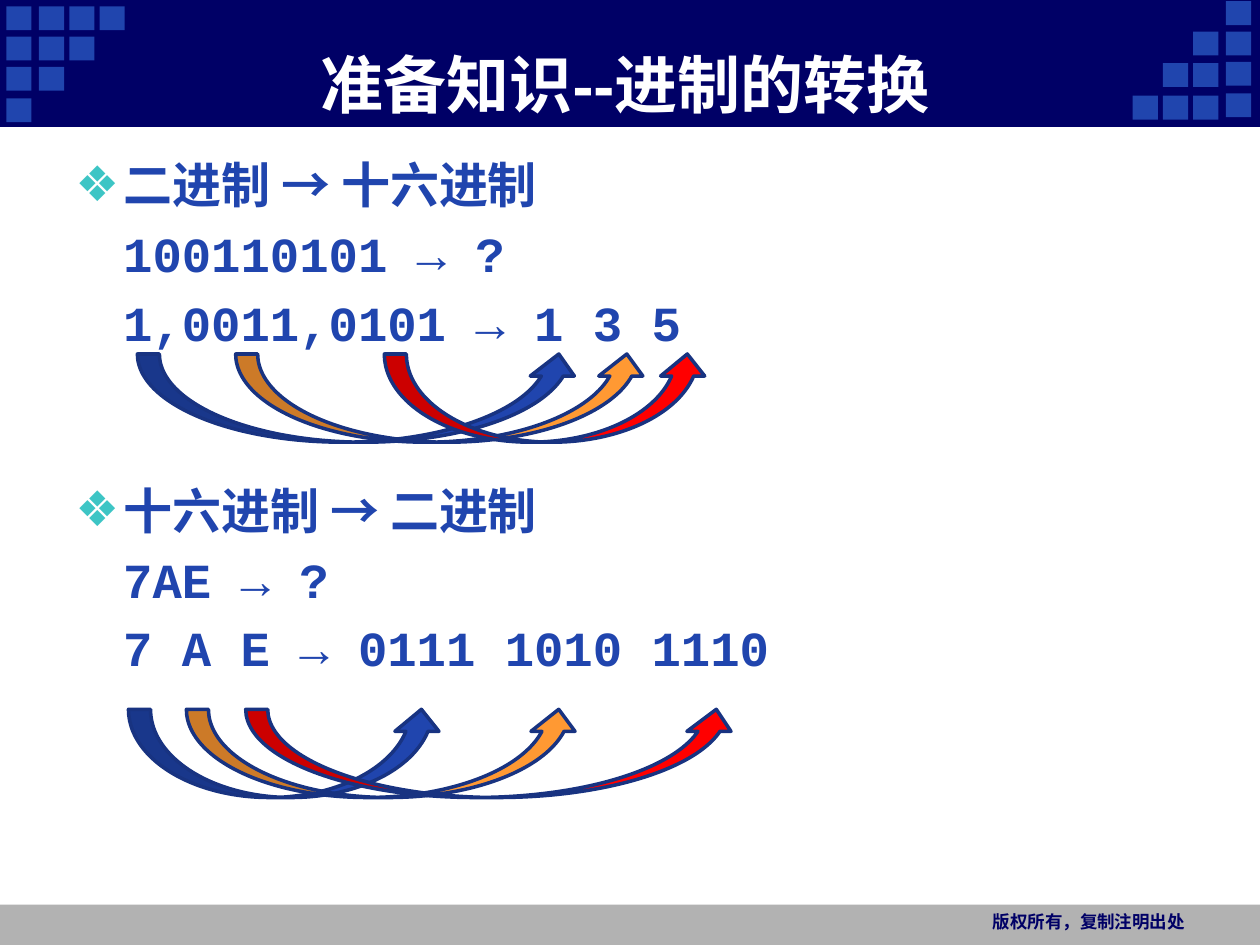
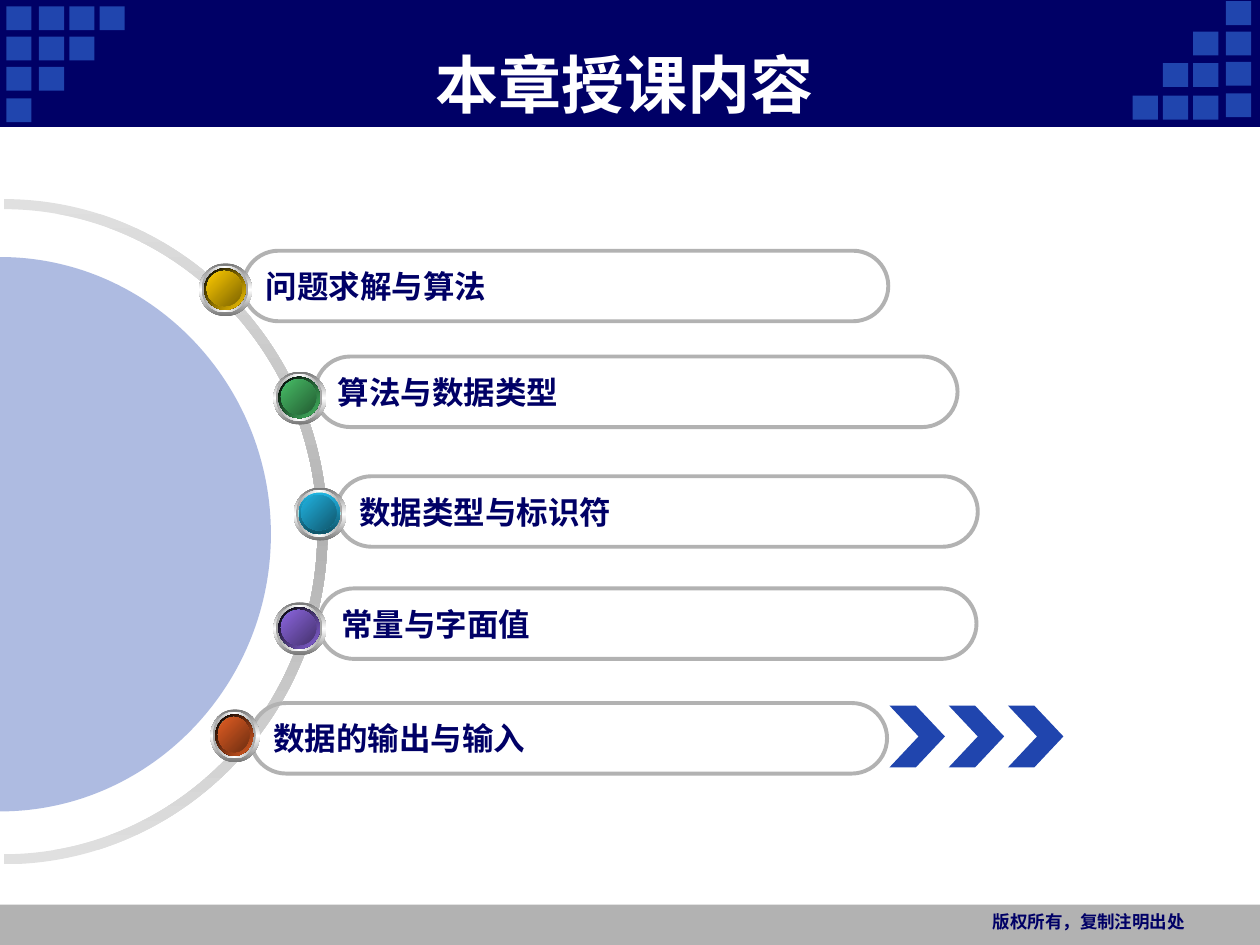
from dataclasses import dataclass

from pptx import Presentation
from pptx.dml.color import RGBColor
from pptx.enum.shapes import MSO_SHAPE as Preset
from pptx.enum.text import MSO_ANCHOR as Anchor, PP_ALIGN as Align
from pptx.oxml import parse_xml
from pptx.oxml.ns import nsdecls
from pptx.shapes.autoshape import Shape
from pptx.slide import Slide
from pptx.text.text import TextFrame
from pptx.util import Inches, Pt

NAVY = RGBColor(0x00, 0x00, 0x66)
BLUE = RGBColor(0x20, 0x45, 0xAE)
ARROW_EDGE = RGBColor(0x18, 0x33, 0x81)
ORANGE = RGBColor(0xFF, 0x99, 0x33)
RED = RGBColor(0xFF, 0x00, 0x00)
TEAL = RGBColor(0x3D, 0xC5, 0xC5)
DARK_TEAL = RGBColor(0x2F, 0x97, 0x97)
WHITE = RGBColor(0xFF, 0xFF, 0xFF)
BLACK = RGBColor(0x00, 0x00, 0x00)
GREY = RGBColor(0xB2, 0xB2, 0xB2)
PALE_GREY = RGBColor(0xE0, 0xE0, 0xE0)
MID_GREY = RGBColor(0xA2, 0xA2, 0xA2)
DARK_GREY = RGBColor(0x76, 0x76, 0x76)

HEADING_FONT = "Arial"
CODE_FONT = "Courier New"

SQUARE_LEFTS = (0.05, 0.31, 0.55, 0.79)
SQUARE_TOPS = (0.05, 0.29, 0.53, 0.78)
RIGHT_TOPS = (0.76, 0.5, 0.25, 0.01)
RIGHT_EDGE_TOPS = (0.74, 0.49, 0.25, 0.01)
RIGHT_MIRROR = 9.78
QUARTER_CURVE = 0.55  # handle length of a quarter ellipse, per radius

Point = tuple[float, float]
Segment = tuple[str, tuple[Point, ...]]


@dataclass(frozen=True)
class Box:
    left: float
    top: float
    width: float
    height: float

    def lengths(self) -> tuple[int, ...]:
        return tuple(Inches(v) for v in (self.left, self.top, self.width, self.height))


@dataclass(frozen=True)
class Conversion:
    """A heading, its worked lines, and the arrows from digits to digits."""
    heading: str
    lines: tuple[str, ...]
    arrow_top: float
    arrow_spans: tuple[tuple[float, float], ...]


@dataclass(frozen=True)
class Topic:
    text: str
    pill: Box
    bead: Box
    color: RGBColor
    shade: RGBColor
    rim_start: RGBColor = BLACK
    rim_end: RGBColor | None = None
    rim_angle: int = 45


CONVERSIONS = (
    Conversion("二进制 → 十六进制", ("100110101 → ?", "1,0011,0101 → 1 3 5"),
               2.81, ((1.09, 3.52), (1.87, 3.28), (3.05, 2.58))),
    Conversion("十六进制 → 二进制", ("7AE → ?", "7 A E → 0111 1010 1110"),
               5.63, ((1.02, 2.5), (1.48, 3.13), (1.95, 3.91))),
)
CONVERSION_GAP = Pt(74)
ARROW_COLORS = (BLUE, ORANGE, RED)

TOPICS = (
    Topic("数据的输出与输入", Box(1.99, 5.58, 5.05, 0.56), Box(1.67, 5.63, 0.39, 0.42),
          RGBColor(0xE3, 0x5E, 0x23), RGBColor(0x6E, 0x2E, 0x11)),
    Topic("常量与字面值", Box(2.53, 4.67, 5.22, 0.56), Box(2.17, 4.78, 0.42, 0.42),
          RGBColor(0x8D, 0x67, 0xE1), RGBColor(0x45, 0x32, 0x6D)),
    Topic("数据类型与标识符", Box(2.67, 3.78, 5.09, 0.56), Box(2.33, 3.87, 0.42, 0.42),
          RGBColor(0x21, 0xB3, 0xE1), RGBColor(0x10, 0x57, 0x6D),
          RGBColor(0x21, 0xB3, 0xE1), RGBColor(0x0F, 0x53, 0x68), 90),
    Topic("算法与数据类型", Box(2.5, 2.83, 5.1, 0.56), Box(2.17, 2.95, 0.42, 0.42),
          RGBColor(0x48, 0xBE, 0x67), RGBColor(0x23, 0x5C, 0x32)),
    Topic("问题求解与算法", Box(1.93, 1.99, 5.12, 0.56), Box(1.58, 2.09, 0.42, 0.42),
          RGBColor(0xFF, 0xCC, 0x00), RGBColor(0x7C, 0x63, 0x00)),
)


def add_preset(slide: Slide, preset: Preset, box: Box, fill: RGBColor | None = None,
               line: RGBColor | None = None, line_width: float = 0.75) -> Shape:
    shape = slide.shapes.add_shape(preset, *box.lengths())
    shape.shadow.inherit = False
    if fill is None:
        shape.fill.background()
    else:
        shape.fill.solid()
        shape.fill.fore_color.rgb = fill
    if line is None:
        shape.line.fill.background()
    else:
        shape.line.color.rgb = line
        shape.line.width = Pt(line_width)
    return shape


def set_gradient(shape: Shape, colors: tuple[RGBColor, ...], angle: int) -> None:
    """Fill with evenly spaced colours; the angle runs clockwise in degrees."""
    shape.fill.background()
    step = 100000 // (len(colors) - 1)
    stops = "".join(f'<a:gs pos="{i * step}"><a:srgbClr val="{color}"/></a:gs>'
                    for i, color in enumerate(colors))
    gradient = parse_xml(f'<a:gradFill {nsdecls("a")} rotWithShape="1"><a:gsLst>{stops}</a:gsLst>'
                         f'<a:lin ang="{angle * 60000}" scaled="0"/></a:gradFill>')
    properties = shape._element.spPr
    properties.replace(properties.find("{*}noFill"), gradient)


def write_line(frame: TextFrame, text: str, font: str, size: float, color: RGBColor,
               align: Align = Align.LEFT):
    """Fill the empty first paragraph, or append one, and return it."""
    paragraph = frame.paragraphs[0] if not frame.text else frame.add_paragraph()
    paragraph.text = text
    paragraph.alignment = align
    paragraph.font.name = font
    paragraph.font.size = Pt(size)
    paragraph.font.bold = True
    paragraph.font.color.rgb = color
    return paragraph


def add_text_frame(slide: Slide, box: Box, anchor: Anchor = Anchor.TOP) -> TextFrame:
    frame = slide.shapes.add_textbox(*box.lengths()).text_frame
    frame.word_wrap = True
    frame.vertical_anchor = anchor
    return frame


def add_corner_squares(slide: Slide) -> None:
    for row in range(4):
        for column in range(4 - row):
            left = SQUARE_LEFTS[column]
            right_tops = RIGHT_EDGE_TOPS if column == 0 else RIGHT_TOPS
            for x, y in ((left, SQUARE_TOPS[row]), (RIGHT_MIRROR - left, right_tops[row])):
                add_preset(slide, Preset.RECTANGLE, Box(x, y, 0.2, 0.19), BLUE)


def set_up_master(prs: Presentation, slide: Slide) -> None:
    """Draw the bands and squares on a still empty slide, then move them to the master."""
    add_preset(slide, Preset.RECTANGLE, Box(0, 7.18, 10, 0.33), GREY)
    add_preset(slide, Preset.RECTANGLE, Box(0, 0, 10, 1), NAVY, NAVY)
    add_corner_squares(slide)
    master_shapes = prs.slide_master.shapes
    first_id = max(shape.shape_id for shape in master_shapes) + 1
    for new_id, shape in enumerate(list(slide.shapes), first_id):
        shape._element.nvSpPr.cNvPr.set("id", str(new_id))
        master_shapes._spTree.append(shape._element)


def add_title_and_footer(slide: Slide, title: str) -> None:
    title_frame = add_text_frame(slide, Box(0.92, 0.35, 8.08, 0.62), Anchor.MIDDLE)
    write_line(title_frame, title, HEADING_FONT, 36, WHITE, Align.CENTER)
    footer = add_text_frame(slide, Box(7.6, 7.18, 1.9, 0.32))
    write_line(footer, "版权所有，复制注明出处", CODE_FONT, 10, NAVY, Align.RIGHT)


def set_paragraph_layout(paragraph, bulleted: bool, gap: int | None = None) -> None:
    """Indent the text, space it by the gap or a fifth of a line, and mark headings."""
    properties = paragraph._p.get_or_add_pPr()
    indent = Inches(0.38)
    properties.set("marL", str(indent))
    properties.set("indent", str(-indent if bulleted else 0))
    spacing = f'<a:spcPts val="{gap // 127}"/>' if gap else '<a:spcPct val="20000"/>'
    parts = [f'<a:spcBef {{}}>{spacing}</a:spcBef>']
    if bulleted:
        parts += [f'<a:buClr {{}}><a:srgbClr val="{TEAL}"/></a:buClr>',
                  f'<a:buFont {{}} typeface="{HEADING_FONT}"/>',
                  '<a:buChar {} char="❖"/>']
    else:
        parts.append("<a:buNone {}/>")
    for position, part in enumerate(parts):
        properties.insert(position, parse_xml(part.format(nsdecls("a"))))


def ellipse_half(x: float, y: float, rx: float, ry: float) -> tuple[Point, Segment]:
    """Start and curve of an ellipse's right half; a negative ry runs it upwards."""
    kx, ky = rx * QUARTER_CURVE, ry * QUARTER_CURVE
    middle, end = (x + rx, y), (x, y + ry)
    return (x, y - ry), ("cubicBezTo", ((x + kx, y - ry), (x + rx, y - ky), middle,
                                        (x + rx, y + ky), (x + kx, y + ry), end))


def add_curved_outline(slide: Slide, box: Box, segments: list[Segment]) -> Shape:
    """Make a freeform of the box's size and give it the segments as its closed outline."""
    left, top, width, height = box.lengths()
    builder = slide.shapes.build_freeform(left, top)
    builder.add_line_segments([(left + width, top), (left + width, top + height),
                               (left, top + height)])
    shape = builder.convert_to_shape()
    shape.shadow.inherit = False
    shape.line.fill.background()
    outline = shape._element.spPr.find(".//{*}pathLst")[0]
    for child in list(outline):
        outline.remove(child)
    for tag, points in segments:
        size = 3 if tag == "cubicBezTo" else 1
        for i in range(0, len(points), size):
            marks = "".join(f'<a:pt x="{Inches(x) - left}" y="{Inches(y) - top}"/>'
                            for x, y in points[i:i + size])
            outline.append(parse_xml(f'<a:{tag} {nsdecls("a")}>{marks}</a:{tag}>'))
    outline.append(parse_xml(f'<a:close {nsdecls("a")}/>'))
    return shape


def add_half_wheel(slide: Slide) -> None:
    inner_start, inner_curve = ellipse_half(0.03, 4.22, 2.49, 2.56)
    outer_start, outer_curve = ellipse_half(0.03, 4.22, 2.57, -2.64)
    rim = add_curved_outline(slide, Box(0.03, 1.58, 2.57, 5.28), [
        ("moveTo", (inner_start,)), inner_curve, ("lnTo", (outer_start,)), outer_curve])
    set_gradient(rim, (PALE_GREY, GREY, PALE_GREY), 90)

    disc_start, disc_curve = ellipse_half(0, 4.24, 2.15, 2.2)
    disc = add_curved_outline(slide, Box(0, 2.04, 2.15, 4.4),
                              [("moveTo", (disc_start,)), disc_curve])
    disc.fill.solid()
    disc.fill.fore_color.rgb = BLUE
    color = disc._element.spPr.find("{*}solidFill")[0]
    color.append(parse_xml(f'<a:alpha {nsdecls("a")} val="36000"/>'))


def add_pill(slide: Slide, topic: Topic) -> None:
    pill = add_preset(slide, Preset.ROUNDED_RECTANGLE, topic.pill, line=GREY, line_width=2.25)
    pill.adjustments[0] = 0.5
    pill.text_frame.word_wrap = True
    pill.text_frame.vertical_anchor = Anchor.MIDDLE
    write_line(pill.text_frame, topic.text, HEADING_FONT, 18, NAVY)


def add_bead(slide: Slide, topic: Topic) -> None:
    """Stack six discs, each given as inset, shrinkage, colours and angle."""
    layers = (
        (0, 0, (DARK_GREY, WHITE, DARK_GREY), 90),
        (0.02, 0.05, (MID_GREY, WHITE, MID_GREY), 0),
        (0.04, 0.09, (WHITE, TEAL, WHITE), 45),
        (0.04, 0.09, (topic.rim_start, topic.rim_end or topic.color), topic.rim_angle),
        (0.06, 0.14, (DARK_TEAL, TEAL, DARK_TEAL), 315),
        (0.06, 0.14, (topic.color, topic.shade), 45),
    )
    bead = topic.bead
    for inset, shrink, colors, angle in layers:
        disc = add_preset(slide, Preset.OVAL, Box(bead.left + inset, bead.top + inset,
                                                  bead.width - shrink, bead.height - shrink))
        set_gradient(disc, colors, angle)


def build_conversion_slide(slide: Slide) -> None:
    add_title_and_footer(slide, "准备知识--进制的转换")
    body = add_text_frame(slide, Box(0.5, 1.18, 9, 5.74))
    for order, conversion in enumerate(CONVERSIONS):
        heading = write_line(body, conversion.heading, CODE_FONT, 28, BLUE)
        set_paragraph_layout(heading, True, CONVERSION_GAP if order else None)
        for text in conversion.lines:
            set_paragraph_layout(write_line(body, text, CODE_FONT, 28, BLUE), False)
        for (left, width), color in zip(conversion.arrow_spans, ARROW_COLORS):
            add_preset(slide, Preset.CURVED_UP_ARROW,
                       Box(left, conversion.arrow_top, width, 0.7), color, ARROW_EDGE, 2)


def build_contents_slide(slide: Slide) -> None:
    add_title_and_footer(slide, "本章授课内容")
    add_half_wheel(slide)
    for topic in TOPICS:
        add_pill(slide, topic)
    for topic in reversed(TOPICS):
        add_bead(slide, topic)
    for i in range(3):
        chevron = add_preset(slide, Preset.CHEVRON, Box(7.06 + 0.47 * i, 5.6, 0.44, 0.49), BLUE)
        chevron.adjustments[0] = 0.525


def main() -> None:
    prs = Presentation()
    prs.slide_width = Inches(10)
    prs.slide_height = Inches(7.5)
    blank = prs.slide_layouts[6]
    conversion_slide, contents_slide = (prs.slides.add_slide(blank) for _ in range(2))
    set_up_master(prs, conversion_slide)
    build_conversion_slide(conversion_slide)
    build_contents_slide(contents_slide)
    prs.save("out.pptx")


if __name__ == "__main__":
    main()
